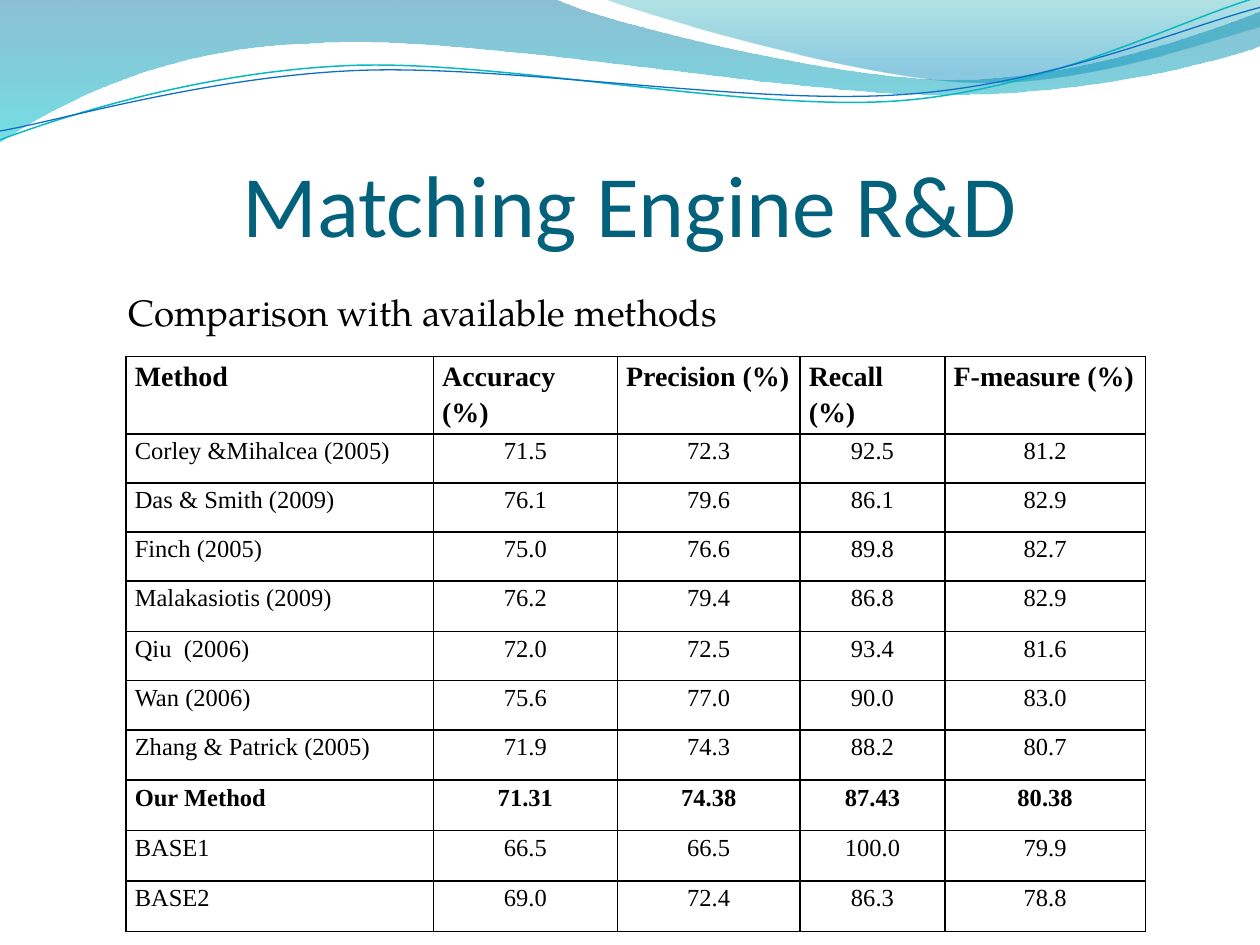
import math
from dataclasses import dataclass

from lxml import etree
from pptx import Presentation
from pptx.dml.color import RGBColor
from pptx.enum.text import MSO_ANCHOR, PP_ALIGN
from pptx.oxml.ns import qn
from pptx.util import Inches, Pt

CENTER, LEFT = PP_ALIGN.CENTER, PP_ALIGN.LEFT
TOP, BOTTOM = MSO_ANCHOR.TOP, MSO_ANCHOR.BOTTOM
BLANK_LAYOUT = 6


@dataclass(frozen=True)
class Theme:
    title_color: str = "04617B"
    text_color: str = "000000"
    border_color: str = "000000"
    title_font: str = "Calibri"
    body_font: str = "TeX Gyre Pagella"
    table_font: str = "Times New Roman"
    title_size: float = 50
    body_size: float = 21
    header_size: float = 16
    cell_size: float = 14
    border_width: float = 1
    table_spacing: float = 1.15


@dataclass(frozen=True)
class Stop:
    position: float
    color: str
    opacity: int


@dataclass(frozen=True)
class Wave:
    """Segments hold one point (line) or three points (cubic curve)."""
    start: tuple
    segments: tuple
    stops: tuple = ()
    line_color: str = ""
    line_width: float = 0
    tilt: float = 0
    pivot: tuple = (0, 0)


@dataclass(frozen=True)
class TextBlock:
    text: str
    place: tuple
    margins: tuple
    anchor: MSO_ANCHOR
    align: PP_ALIGN
    color: str
    font: dict


THEME = Theme()

WAVES = (
    Wave((0, 0), (
        ((4.4, -0.01),),
        ((4.76, 0.17), (6.64, 0.63), (7.58, 0.63)),
        ((8.53, 0.63), (9.58, 0.26), (10, 0.09)),
        ((10.01, 0.36),),
        ((9.83, 0.44), (8.7, 0.76), (7.46, 0.75)),
        ((6.22, 0.75), (3.82, 0.28), (2.57, 0.34)),
        ((1.29, 0.36), (0.46, 0.83), (-0.01, 1.13)),
        ((0, 0),),
    ), stops=(Stop(0, "0074A1", 45), Stop(1, "00C6CF", 55))),
    Wave((4.79, -0.01), (
        ((5.09, 0.11), (6.82, 0.62), (7.69, 0.65)),
        ((8.56, 0.69), (9.61, 0.32), (10, 0.21)),
        ((10, 0),),
        ((4.79, -0.01),),
    ), stops=(Stop(0, "00A1A9", 30), Stop(0.8, "008BBF", 45))),
    Wave((0, 1.11), (
        ((0.48, 0.93), (1.58, 0.57), (2.77, 0.52)),
        ((3.95, 0.47), (5.93, 0.89), (7.13, 0.8)),
        ((8.33, 0.71), (9.38, 0.15), (9.98, -0.02)),
    ), line_color="0AB8BF", line_width=0.85, tilt=-2.7, pivot=(4.99, 0.58)),
    Wave((0, 1.04), (
        ((0.47, 0.96), (1.64, 0.61), (2.83, 0.56)),
        ((4.03, 0.51), (5.97, 0.84), (7.17, 0.75)),
        ((8.36, 0.67), (9.41, 0.21), (10, 0.06)),
    ), line_color="0F6FC6", line_width=0.75, tilt=-2.7, pivot=(5, 0.59)),
)

TITLE = TextBlock("Matching Engine R&D", (0.5, 0.77, 9, 1.25), (0, 0.05, 0, 0), BOTTOM, CENTER,
                  THEME.title_color, {"name": THEME.title_font, "size": Pt(THEME.title_size)})
SUBTITLE = TextBlock("Comparison with available methods", (0.92, 2.25, 5.25, 0.45),
                     (0.1, 0.05, 0.1, 0.05), TOP, LEFT, THEME.text_color,
                     {"name": THEME.body_font, "size": Pt(THEME.body_size)})

COLUMN_WIDTHS = (2.44, 1.46, 1.45, 1.15, 1.59)
ROW_HEIGHTS = (0.39, 0.39, 0.39, 0.39, 0.4, 0.39, 0.39, 0.4, 0.4, 0.4, 0.4)
BOLD_ROWS = ("Method", "Our Method")
RESULTS = (
    ("Method", "Accuracy (%)", "Precision (%)", "Recall (%)", "F-measure (%)"),
    ("Corley &Mihalcea (2005)", "71.5", "72.3", "92.5", "81.2"),
    ("Das & Smith (2009)", "76.1", "79.6", "86.1", "82.9"),
    ("Finch (2005)", "75.0", "76.6", "89.8", "82.7"),
    ("Malakasiotis (2009)", "76.2", "79.4", "86.8", "82.9"),
    ("Qiu  (2006)", "72.0", "72.5", "93.4", "81.6"),
    ("Wan (2006)", "75.6", "77.0", "90.0", "83.0"),
    ("Zhang & Patrick (2005)", "71.9", "74.3", "88.2", "80.7"),
    ("Our Method", "71.31", "74.38", "87.43", "80.38"),
    ("BASE1", "66.5", "66.5", "100.0", "79.9"),
    ("BASE2", "69.0", "72.4", "86.3", "78.8"),
)


def set_all(target, values: dict) -> None:
    for name, value in values.items():
        setattr(target, name, value)


def write_text(para, text: str, font: dict, color: str) -> None:
    span = para.add_run()
    span.text = text
    set_all(span.font, font)
    span.font.color.rgb = RGBColor.from_string(color)


def margin_values(margins: tuple) -> dict:
    sides = ("margin_left", "margin_top", "margin_right", "margin_bottom")
    return {side: Inches(size) for side, size in zip(sides, margins)}


def level_point(point: tuple, wave: Wave) -> tuple:
    """Turn a point back by the tilt that the shape itself will apply."""
    angle = math.radians(-wave.tilt)
    across, down = point[0] - wave.pivot[0], point[1] - wave.pivot[1]
    return (Inches(wave.pivot[0] + across * math.cos(angle) - down * math.sin(angle)),
            Inches(wave.pivot[1] + across * math.sin(angle) + down * math.cos(angle)))


def bend_segments(shape, segments: tuple) -> None:
    """Join each three straight steps of a curve into one cubic segment."""
    steps = iter(list(shape._element.spPr.iter(qn("a:lnTo"))))
    for segment in segments:
        group = [next(steps) for _ in segment]
        if len(group) == 3:
            curve = etree.Element(qn("a:cubicBezTo"))
            group[0].addprevious(curve)
            for step in group:
                curve.append(step[0])
                step.getparent().remove(step)


def draw_wave(page, wave: Wave) -> None:
    points = [level_point(point, wave) for segment in wave.segments for point in segment]
    builder = page.shapes.build_freeform(*level_point(wave.start, wave), scale=1.0)
    builder.add_line_segments(points, close=bool(wave.stops))
    shape = builder.convert_to_shape()
    bend_segments(shape, wave.segments)
    shape.rotation = wave.tilt
    shape.shadow.inherit = False
    if not wave.stops:
        shape.fill.background()
        shape.line.color.rgb = RGBColor.from_string(wave.line_color)
        shape.line.width = Pt(wave.line_width)
        return
    shape.line.fill.background()
    shape.fill.gradient()
    shape.fill.gradient_angle = 270
    for gradient_stop, stop in zip(shape.fill.gradient_stops, wave.stops):
        gradient_stop.position = stop.position
        gradient_stop.color.rgb = RGBColor.from_string(stop.color)
    for color, stop in zip(shape._element.spPr.iter(qn("a:srgbClr")), wave.stops):
        etree.SubElement(color, qn("a:alpha"), val=str(stop.opacity * 1000))


def draw_text(page, block: TextBlock) -> None:
    box = page.shapes.add_textbox(*map(Inches, block.place))
    set_all(box.text_frame, {"word_wrap": True, "vertical_anchor": block.anchor,
                             **margin_values(block.margins)})
    para = box.text_frame.paragraphs[0]
    para.alignment = block.align
    write_text(para, block.text, block.font, block.color)


def add_borders(cell) -> None:
    properties = cell._tc.get_or_add_tcPr()
    for side in ("a:lnL", "a:lnR", "a:lnT", "a:lnB"):
        line = etree.SubElement(properties, qn(side), w=str(Pt(THEME.border_width)))
        fill = etree.SubElement(line, qn("a:solidFill"))
        etree.SubElement(fill, qn("a:srgbClr"), val=THEME.border_color)


def draw_table(page) -> None:
    size = (sum(COLUMN_WIDTHS), sum(ROW_HEIGHTS))
    table = page.shapes.add_table(len(RESULTS), len(COLUMN_WIDTHS),
                                  *map(Inches, (1, 2.83, *size))).table
    set_all(table, {"first_row": False, "horz_banding": False})
    for column, width in zip(table.columns, COLUMN_WIDTHS):
        column.width = Inches(width)
    for row_index, (row, values) in enumerate(zip(table.rows, RESULTS)):
        row.height = Inches(ROW_HEIGHTS[row_index])
        text_size = THEME.cell_size if row_index else THEME.header_size
        font = {"name": THEME.table_font, "size": Pt(text_size), "bold": values[0] in BOLD_ROWS}
        for column_index, (cell, value) in enumerate(zip(row.cells, values)):
            add_borders(cell)
            cell.fill.background()
            set_all(cell, margin_values((0.07, 0, 0.07, 0)))
            para = cell.text_frame.paragraphs[0]
            para.line_spacing = THEME.table_spacing
            para.alignment = CENTER if row_index and column_index else LEFT
            write_text(para, value, font, THEME.text_color)


def main() -> None:
    deck = Presentation()
    set_all(deck, {"slide_width": Inches(10), "slide_height": Inches(7.5)})
    page = deck.slides.add_slide(deck.slide_layouts[BLANK_LAYOUT])
    # Wave decoration along the top
    for wave in WAVES:
        draw_wave(page, wave)
    # Title, results table and subtitle
    draw_text(page, TITLE)
    draw_table(page)
    draw_text(page, SUBTITLE)
    deck.save("out.pptx")


if __name__ == "__main__":
    main()
